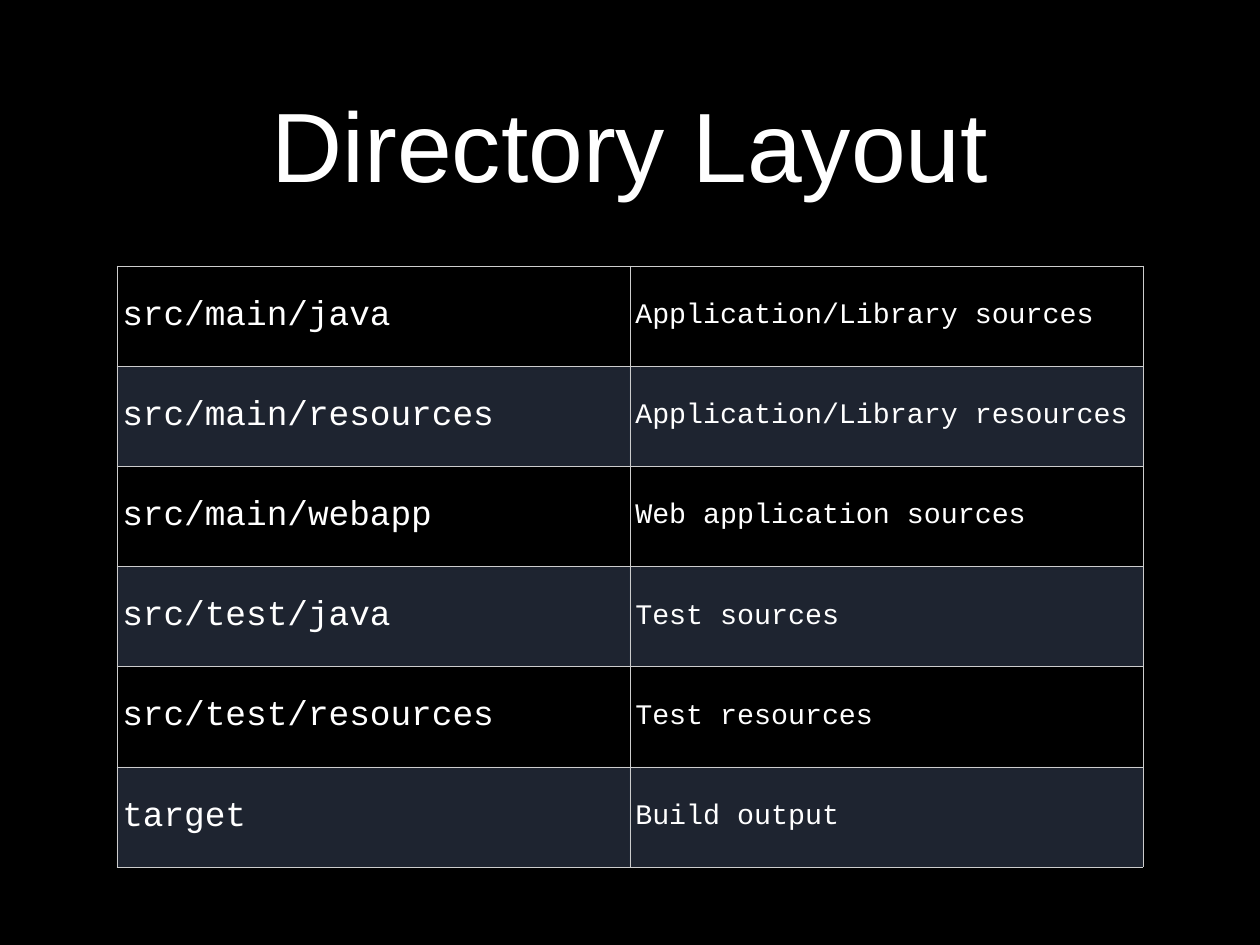
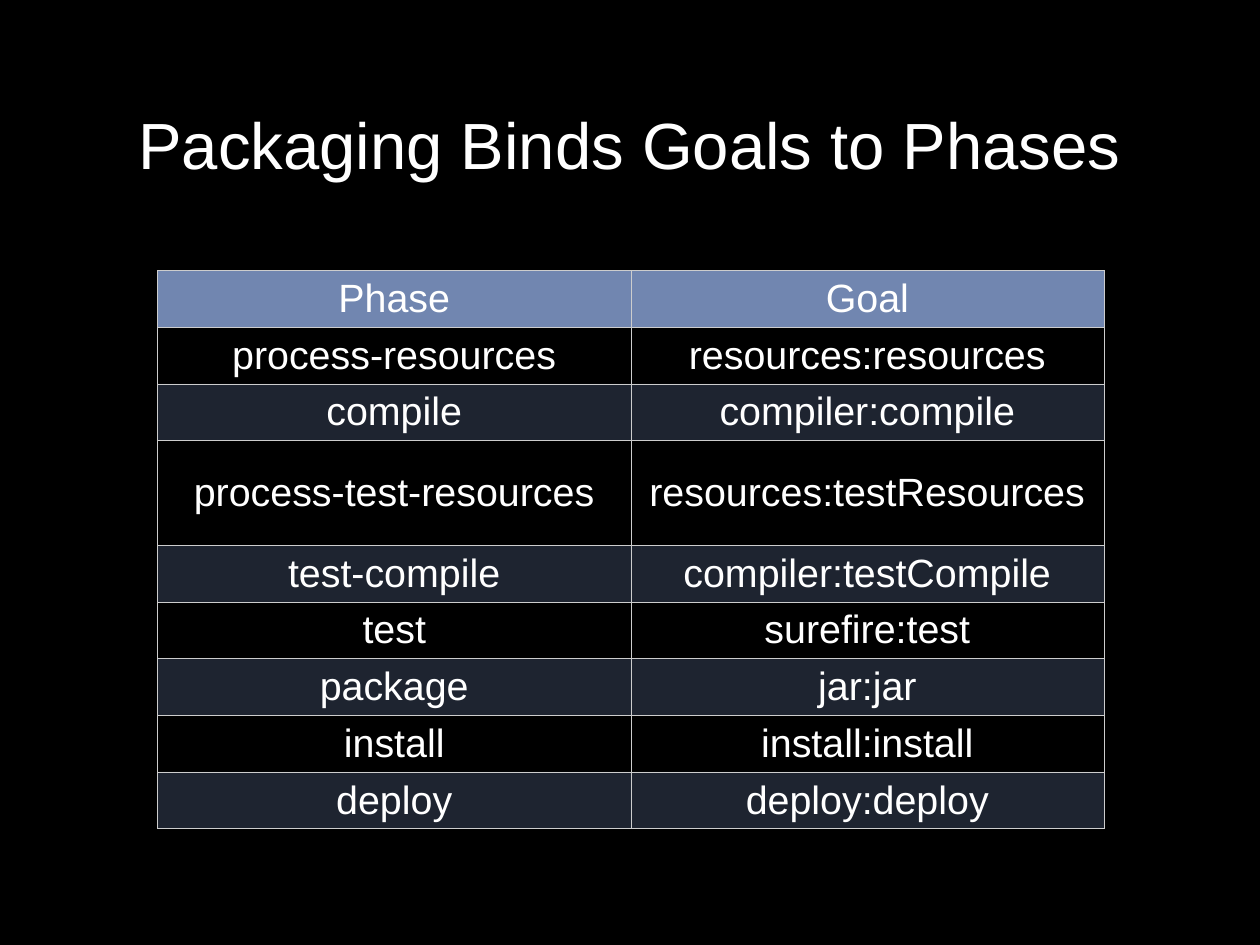
from lxml import etree
from pptx import Presentation
from pptx.dml.color import RGBColor
from pptx.enum.text import MSO_ANCHOR, PP_ALIGN
from pptx.oxml.ns import qn
from pptx.util import Inches, Pt

MIDDLE = MSO_ANCHOR.MIDDLE
LEFT, CENTER = PP_ALIGN.LEFT, PP_ALIGN.CENTER

BLACK = RGBColor(0x00, 0x00, 0x00)
WHITE = RGBColor(0xFF, 0xFF, 0xFF)
BORDER = RGBColor(0xCD, 0xCD, 0xCD)
HEADER = RGBColor(0x71, 0x86, 0xB0)
BAND = RGBColor(0x7B, 0x93, 0xC0)
BAND_OPACITY = 25
BORDER_WIDTH = Pt(0.45)

SANS = "Arial"
MONO = "Courier New"

DIRECTORIES = [
    ("src/main/java", "Application/Library sources"),
    ("src/main/resources", "Application/Library resources"),
    ("src/main/webapp", "Web application sources"),
    ("src/test/java", "Test sources"),
    ("src/test/resources", "Test resources"),
    ("target", "Build output"),
]
GOALS = [
    ("Phase", "Goal"),
    ("process-resources", "resources:resources"),
    ("compile", "compiler:compile"),
    ("process-test-resources", "resources:testResources"),
    ("test-compile", "compiler:testCompile"),
    ("test", "surefire:test"),
    ("package", "jar:jar"),
    ("install", "install:install"),
    ("deploy", "deploy:deploy"),
]


class Deck:
    """Hold the shared dark style and the slide being built."""

    def __init__(self):
        self.presentation = Presentation()
        self.presentation.slide_width = Inches(14.22)
        self.presentation.slide_height = Inches(10.66)
        self.slide = None

    def add_slide(self, title, size):
        layout = self.presentation.slide_layouts[6]
        self.slide = self.presentation.slides.add_slide(layout)
        background = self.slide.background.fill
        background.solid()
        background.fore_color.rgb = BLACK
        box = self.slide.shapes.add_textbox(
            Inches(1.39), Inches(0.28), Inches(11.44), Inches(2.67))
        text_frame = box.text_frame
        text_frame.word_wrap = True
        text_frame.vertical_anchor = MIDDLE
        text_frame.margin_left = text_frame.margin_right = Inches(0.06)
        text_frame.margin_top = text_frame.margin_bottom = Inches(0.06)
        self.set_text(text_frame, title, SANS, size, CENTER)

    def set_text(self, text_frame, text, font, size, alignment):
        text_frame.text = text
        paragraph = text_frame.paragraphs[0]
        paragraph.alignment = alignment
        run_font = paragraph.runs[0].font
        run_font.name = font
        run_font.size = Pt(size)
        run_font.bold = False
        run_font.color.rgb = WHITE

    def add_table(self, rows, left, top, column_width, row_heights, font,
                  sizes, alignment, has_header=False):
        frame = self.slide.shapes.add_table(
            len(rows), len(sizes), Inches(left), Inches(top),
            Inches(column_width * len(sizes)), Inches(sum(row_heights)))
        table = frame.table
        table.first_row = has_header
        table.horz_banding = False
        for column in table.columns:
            column.width = Inches(column_width)
        for index, (texts, height) in enumerate(zip(rows, row_heights)):
            table.rows[index].height = Inches(height)
            is_header = has_header and index == 0
            is_band = (index - has_header) % 2 == 1 and not is_header
            for column, (text, size) in enumerate(zip(texts, sizes)):
                cell = table.cell(index, column)
                cell.vertical_anchor = MIDDLE
                cell.margin_left = cell.margin_right = Inches(0.06)
                cell.margin_top = cell.margin_bottom = Inches(0.05)
                self.set_text(cell.text_frame, text, font, size, alignment)
                self.add_borders(cell)
                self.fill_cell(cell, is_header, is_band)

    def add_borders(self, cell):
        properties = cell._tc.get_or_add_tcPr()
        for side in ("a:lnL", "a:lnR", "a:lnT", "a:lnB"):
            line = etree.SubElement(properties, qn(side), w=str(BORDER_WIDTH))
            fill = etree.SubElement(line, qn("a:solidFill"))
            etree.SubElement(fill, qn("a:srgbClr"), val=str(BORDER))

    def fill_cell(self, cell, is_header, is_band):
        if not (is_header or is_band):
            cell.fill.background()
            return
        cell.fill.solid()
        cell.fill.fore_color.rgb = HEADER if is_header else BAND
        if is_band:
            color = cell._tc.tcPr.find(qn("a:solidFill")).find(qn("a:srgbClr"))
            etree.SubElement(color, qn("a:alpha"), val=str(BAND_OPACITY * 1000))


def main():
    deck = Deck()

    deck.add_slide("Directory Layout", 80)
    deck.add_table(DIRECTORIES, 1.32, 3, 5.79, [1.13] * len(DIRECTORIES),
                   MONO, (28, 23), LEFT)

    deck.add_slide("Packaging Binds Goals to Phases", 53)
    goal_heights = [0.64] * len(GOALS)
    goal_heights[3] = 1.18
    deck.add_table(GOALS, 1.78, 3.05, 5.34, goal_heights,
                   SANS, (32, 32), CENTER, has_header=True)

    deck.presentation.save("out.pptx")


if __name__ == "__main__":
    main()
